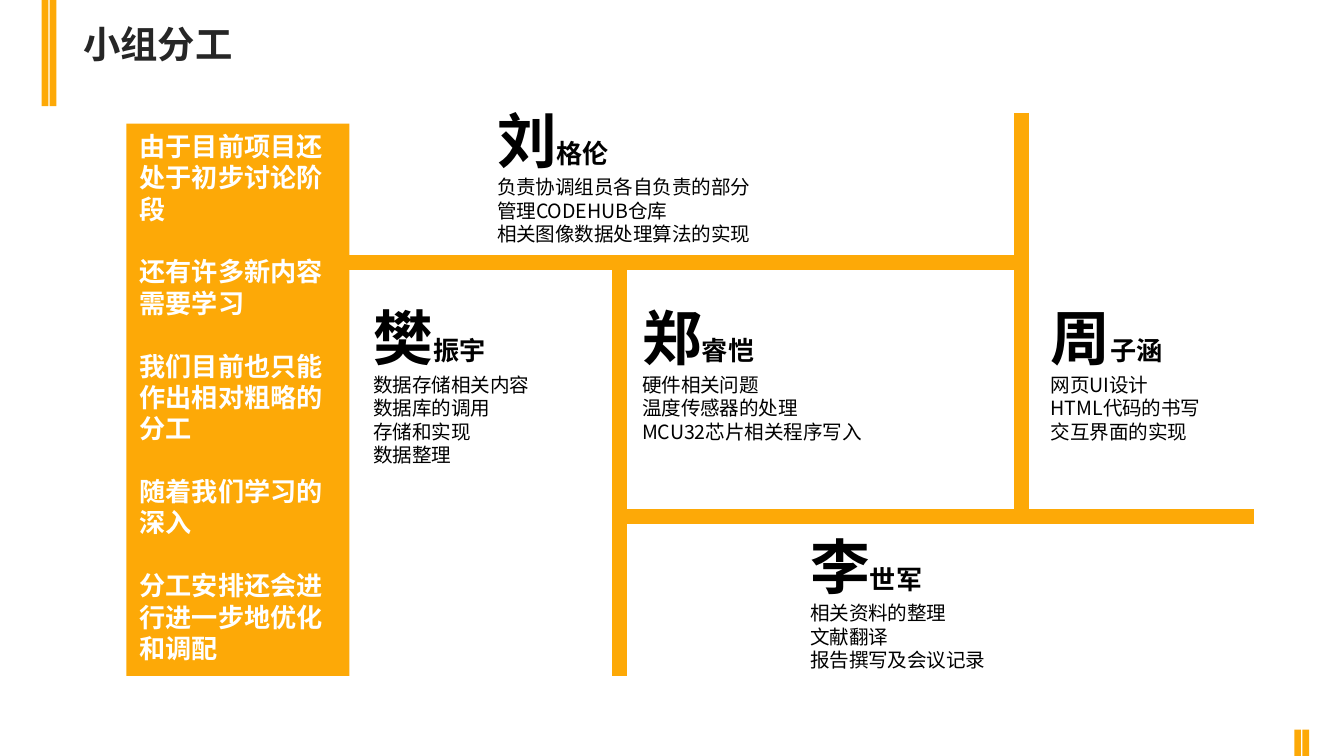
from pptx import Presentation
from pptx.dml.color import RGBColor
from pptx.enum.shapes import MSO_CONNECTOR, MSO_SHAPE
from pptx.enum.text import MSO_ANCHOR, PP_ALIGN
from pptx.oxml.ns import qn
from pptx.util import Inches, Pt
from lxml import etree

ORANGE, WHITE, BLACK, DARK = "FDA907", "FFFFFF", "000000", "262626"
FONT, TITLE_FONT = "Noto Sans CJK SC", "Arial Narrow"

TITLE = "小组分工"
REMARKS = [
    "由于目前项目还处于初步讨论阶段",
    "还有许多新内容需要学习",
    "我们目前也只能作出相对粗略的分工",
    "随着我们学习的深入",
    "分工安排还会进行进一步地优化和调配",
]
# left, top, width, height, surname, given name, tasks
MEMBERS = [
    (3.6, 0.72, 2.5, 1.17, "刘", "格伦",
     ["负责协调组员各自负责的部分", "管理CODEHUB仓库", "相关图像数据处理算法的实现"]),
    (7.72, 2.19, 1.49, 1.17, "周", "子涵",
     ["网页UI设计", "HTML代码的书写", "交互界面的实现"]),
    (2.68, 2.19, 1.48, 1.35, "樊", "振宇",
     ["数据存储相关内容", "数据库的调用", "存储和实现", "数据整理"]),
    (5.93, 3.89, 2.5, 1.17, "李", "世军",
     ["相关资料的整理", "文献翻译", "报告撰写及会议记录"]),
    (4.68, 2.19, 2.5, 1.17, "郑", "睿恺",
     ["硬件相关问题", "温度传感器的处理", "MCU32芯片相关程序写入"]),
]
# Dividers between the members' areas
X_LEFT, X_RIGHT, Y_TOP, Y_BOTTOM = 4.61, 7.6, 1.95, 3.84
DIVIDERS = [
    (1.48, Y_TOP, X_RIGHT, Y_TOP),
    (X_RIGHT, 0.84, X_RIGHT, Y_BOTTOM),
    (X_LEFT, Y_BOTTOM, 9.33, Y_BOTTOM),
    (X_LEFT, Y_TOP, X_LEFT, 5.03),
]
# left, top, height of each pair of corner stripes
STRIPE_PAIRS = [(0.31, 0, 0.79), (9.63, 5.43, 0.2)]
STRIPE_WIDTH, STRIPE_STEP = 0.05, 0.06


def color(hex_value):
    return RGBColor.from_string(hex_value)


def style(r, size, hex_value, bold=True, font=FONT):
    r.font.size = Pt(size)
    r.font.bold = bold
    r.font.color.rgb = color(hex_value)
    r.font.name = font
    ea = etree.SubElement(r.font._element, qn("a:ea"))
    ea.set("typeface", FONT)


def add_run(p, text, *args, **kwargs):
    r = p.add_run()
    r.text = text
    style(r, *args, **kwargs)


def add_rect(slide, *box):
    s = slide.shapes.add_shape(MSO_SHAPE.RECTANGLE, *map(Inches, box))
    s.shadow.inherit = False
    s.fill.solid()
    s.fill.fore_color.rgb = color(ORANGE)
    s.line.fill.background()
    return s


def add_text_frame(slide, *box):
    tf = slide.shapes.add_textbox(*map(Inches, box)).text_frame
    tf.word_wrap = True
    return tf


def add_divider(slide, *ends):
    c = slide.shapes.add_connector(MSO_CONNECTOR.STRAIGHT, *map(Inches, ends))
    c.line.color.rgb = color(ORANGE)
    c.line.width = Pt(8)
    etree.SubElement(c._element.spPr, qn("a:effectLst"))


def add_member(slide, left, top, width, height, surname, given, tasks):
    tf = add_text_frame(slide, left, top, width, height)
    p = tf.paragraphs[0]
    add_run(p, surname, 32, BLACK)
    add_run(p, given, 14, BLACK)
    for task in tasks:
        add_run(tf.add_paragraph(), task, 10.5, BLACK, bold=False)


def add_remarks(slide):
    tf = add_rect(slide, 0.94, 0.92, 1.66, 4.11).text_frame
    tf.word_wrap = True
    tf.vertical_anchor = MSO_ANCHOR.TOP
    tf.text = "\n".join(REMARKS)
    for i, p in enumerate(tf.paragraphs):
        p.alignment = PP_ALIGN.LEFT
        p.space_before = Pt(16.8 if i else 0)
        style(p.runs[0], 14, WHITE)


prs = Presentation()
prs.slide_width = Inches(10)
prs.slide_height = prs.slide_width * 9 // 16
slide = prs.slides.add_slide(prs.slide_layouts[6])

for left, top, height in STRIPE_PAIRS:
    for i in range(2):
        add_rect(slide, left + i * STRIPE_STEP, top, STRIPE_WIDTH, height)

title = add_text_frame(slide, 0.52, 0.11, 7.43, 0.44)
add_run(title.paragraphs[0], TITLE, 20, DARK, font=TITLE_FONT)

for member in MEMBERS:
    add_member(slide, *member)
for divider in DIVIDERS:
    add_divider(slide, *divider)
add_remarks(slide)

prs.save("out.pptx")
